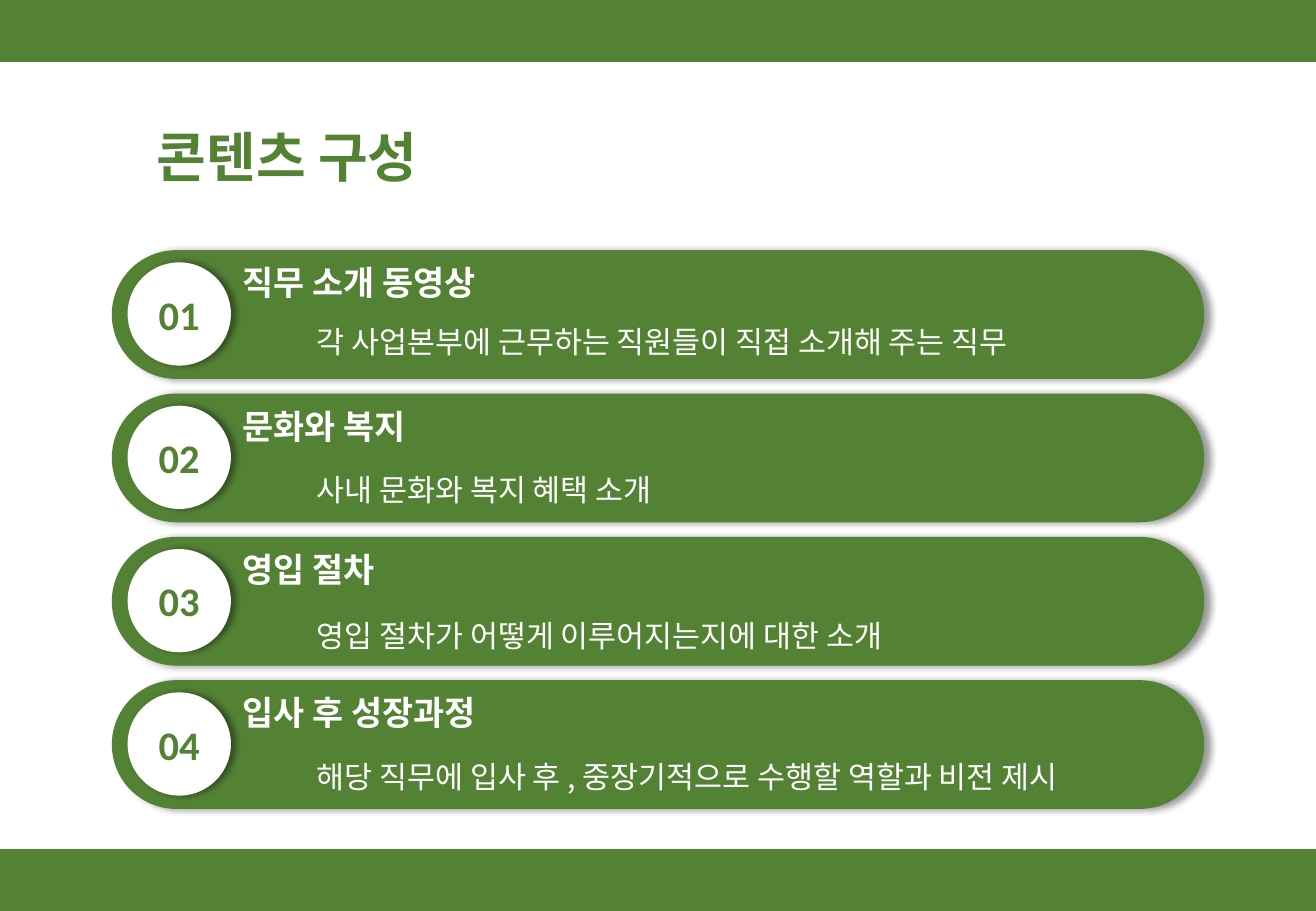
from dataclasses import dataclass

from lxml import etree
from pptx import Presentation
from pptx.dml.color import RGBColor
from pptx.enum.shapes import MSO_SHAPE
from pptx.enum.text import MSO_ANCHOR, MSO_AUTO_SIZE, PP_ALIGN
from pptx.oxml.ns import qn
from pptx.util import Pt

RECT, PILL, CIRCLE = MSO_SHAPE.RECTANGLE, MSO_SHAPE.ROUNDED_RECTANGLE, MSO_SHAPE.OVAL
LEFT, CENTER = PP_ALIGN.LEFT, PP_ALIGN.CENTER
TOP, MIDDLE = MSO_ANCHOR.TOP, MSO_ANCHOR.MIDDLE
GROW = MSO_AUTO_SIZE.SHAPE_TO_FIT_TEXT

PX = 9144  # 100 px to the inch
SLIDE_W, SLIDE_H = 1083, 750
BAND_H = 51
FIRST_ROW, ROW_STEP = 206, 118


@dataclass(frozen=True)
class Theme:
    green: RGBColor = RGBColor(0x54, 0x82, 0x35)
    white: RGBColor = RGBColor(0xFF, 0xFF, 0xFF)
    shadow: str = "000000"
    korean: str = "Noto Sans CJK KR"
    latin: str = "Calibri"
    title_size: int = 32
    number_size: int = 24
    heading_size: int = 20
    detail_size: int = 18


THEME = Theme()

# Heading, detail, top and width of the detail
TOPICS = [
    ("직무 소개 동영상", "각 사업본부에 근무하는 직원들이 직접 소개해 주는 직무", 261, 641),
    ("문화와 복지", "사내 문화와 복지 혜택 소개", 383, 327),
    ("영입 절차", "영입 절차가 어떻게 이루어지는지에 대한 소개", 503, 529),
    ("입사 후 성장과정", "해당 직무에 입사 후 , 중장기적으로 수행할 역할과 비전 제시", 619, 684),
]


def emu(*lengths):
    return [length * PX for length in lengths]


def write(frame, text, size, color, font=THEME.korean, bold=False, align=LEFT):
    frame.text = text
    line = frame.paragraphs[0]
    line.alignment = align
    run = line.runs[0]
    run.font.name = font
    run.font.size = Pt(size)
    run.font.bold = bold
    run.font.color.rgb = color
    etree.SubElement(run.font._element, qn("a:ea"), typeface=font)


def add_block(slide, kind, box, color):
    block = slide.shapes.add_shape(kind, *emu(*box))
    block.shadow.inherit = False
    block.fill.solid()
    block.fill.fore_color.rgb = color
    block.line.fill.background()
    return block


def cast_shadow(block):
    effects = block._element.spPr.find(qn("a:effectLst"))
    outer = etree.SubElement(effects, qn("a:outerShdw"), blurRad=str(Pt(4)),
                             dist=str(Pt(3)), dir="0", algn="l", rotWithShape="0")
    color = etree.SubElement(outer, qn("a:srgbClr"), val=THEME.shadow)
    etree.SubElement(color, qn("a:alpha"), val="40000")


def add_label(slide, box, text, size, bold=False, wrap=False):
    label = slide.shapes.add_textbox(*emu(*box))
    frame = label.text_frame
    frame.word_wrap = wrap
    frame.auto_size = GROW
    write(frame, text, size, THEME.white, bold=bold)


def set_title(slide, box, text):
    title = slide.shapes.title
    title.left, title.top, title.width, title.height = emu(*box)
    frame = title.text_frame
    frame.word_wrap = False
    frame.auto_size = GROW
    frame.vertical_anchor = TOP
    write(frame, text, THEME.title_size, THEME.green, bold=True)


def add_topic(slide, number, top, heading, detail, detail_top, detail_w):
    # Pill
    pill = add_block(slide, PILL, (92, top, 899, 106), THEME.green)
    pill.adjustments[0] = 0.5
    cast_shadow(pill)
    # Number
    badge = add_block(slide, CIRCLE, (105, top + 10, 85, 85), THEME.white)
    cast_shadow(badge)
    badge.text_frame.vertical_anchor = MIDDLE
    write(badge.text_frame, f"{number:02d}", THEME.number_size, THEME.green,
          font=THEME.latin, bold=True, align=CENTER)
    # Heading and detail
    add_label(slide, (190, top + 5, 232, 44), heading, THEME.heading_size,
              bold=True, wrap=True)
    add_label(slide, (251, detail_top, detail_w, 40), detail, THEME.detail_size)


def main():
    deck = Presentation()
    deck.slide_width, deck.slide_height = emu(SLIDE_W, SLIDE_H)
    slide = deck.slides.add_slide(deck.slide_layouts[5])

    # Bands at the top and bottom edges
    for top in (0, SLIDE_H - BAND_H):
        add_block(slide, RECT, (0, top, SLIDE_W, BAND_H), THEME.green)

    set_title(slide, (119, 97, 244, 64), "콘텐츠 구성")

    # Numbered topics
    for index, topic in enumerate(TOPICS):
        add_topic(slide, index + 1, FIRST_ROW + index * ROW_STEP, *topic)

    deck.save("out.pptx")


if __name__ == "__main__":
    main()
